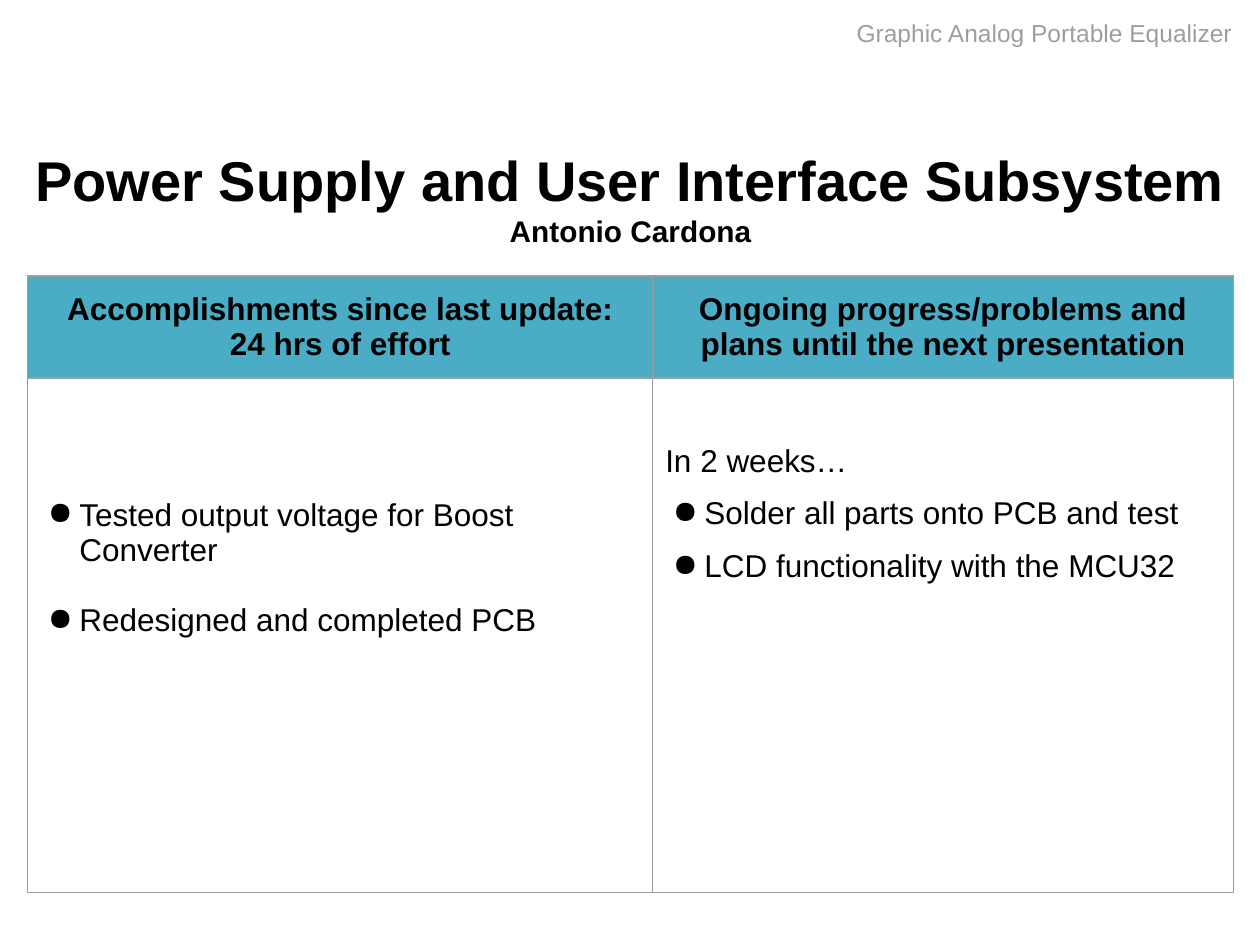
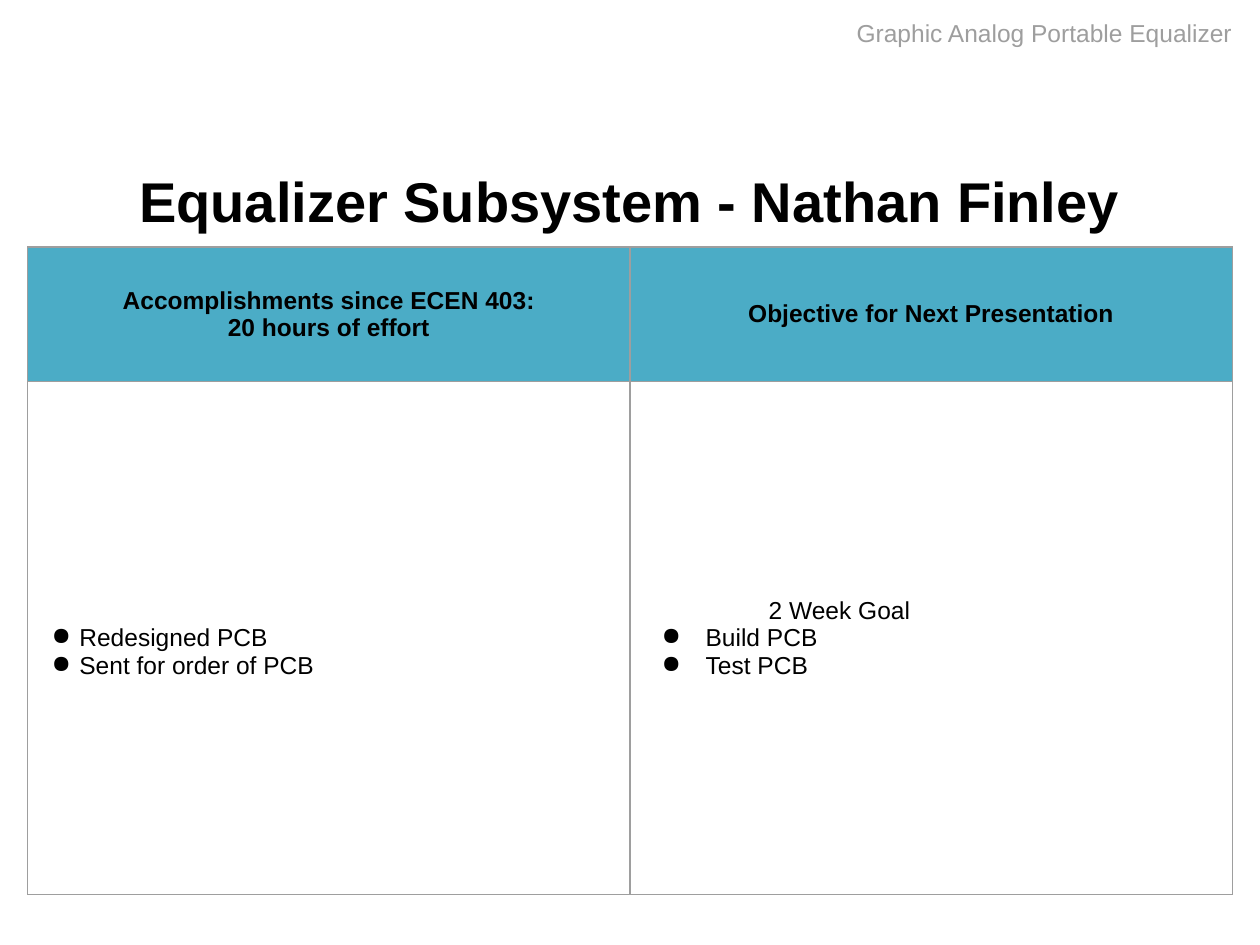
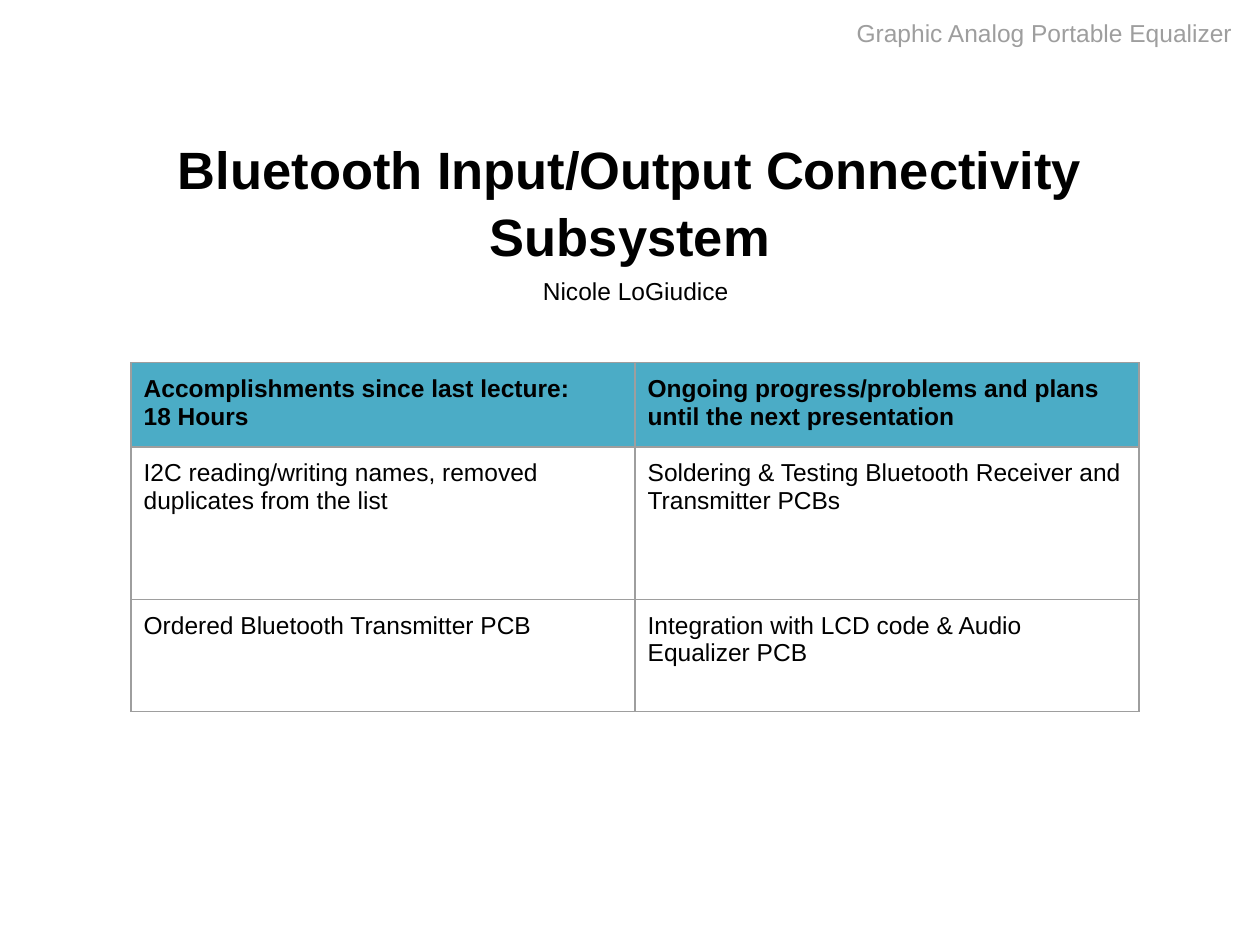
from lxml import etree
from pptx import Presentation
from pptx.dml.color import RGBColor
from pptx.enum import text as t
from pptx.oxml import ns
from pptx.util import Inches, Pt

HUES = {"ink": "000000", "grey": "9E9E9E", "teal": "4BACC6"}
FONT = "Arial"
MID, TOP = t.MSO_ANCHOR.MIDDLE, t.MSO_ANCHOR.TOP
MID_ALIGN, LEFT = t.PP_ALIGN.CENTER, t.PP_ALIGN.LEFT


def write(frame, lines, size, bold=False, hue="ink", align=LEFT):
    """Each line is a string or (words, extras): left, hang, gap, size."""
    frame.word_wrap = True
    for i, line in enumerate(lines):
        words, more = (line, {}) if isinstance(line, str) else line
        para = frame.paragraphs[0] if i == 0 else frame.add_paragraph()
        para.text = words
        para.alignment = align
        props = para._p.get_or_add_pPr()
        props.set("marL", str(Inches(more.get("left", 0))))
        props.set("indent", str(-Inches(more.get("hang", 0))))
        if "hang" in more:
            etree.SubElement(props, ns.qn("a:buChar"), char="●")
        if "gap" in more:
            para.space_before = Pt(more["gap"])
        font = para.runs[0].font
        font.name, font.bold = FONT, bold
        font.size = Pt(more.get("size", size))
        font.color.rgb = RGBColor.from_string(HUES[hue])


def add_box(slide, spot, lines, size, pad=0.1, anchor=TOP, **style):
    frame = slide.shapes.add_textbox(*map(Inches, spot)).text_frame
    frame.margin_left = frame.margin_right = Inches(0.1)
    frame.margin_top = frame.margin_bottom = Inches(pad)
    frame.vertical_anchor = anchor
    write(frame, lines, size, **style)
    return frame


# Bullet styles
dot = {"left": 0.31, "hang": 0.25}
near = {"left": 0.31, "hang": 0.22}
wide = {"left": 0.5, "hang": 0.35}

# Slide content; a cell is (lines, top margin)
pages = [
    {"title": ["Power Supply and User Interface Subsystem",
               ("Antonio Cardona", {"size": 17})],
     "spot": (0.18, 1.12, 9.65, 0.88), "size": 32,
     "grid": (0.22, 2.19), "cols": [4.96, 4.61], "rows": [0.81, 4.08],
     "text": 18, "head": (MID, MID_ALIGN), "body": TOP,
     "cells": [
         [(["Accomplishments since last update:", "24 hrs of effort"], 0.1),
          (["Ongoing progress/problems and plans until the next presentation"], 0.1)],
         [([("Tested output voltage for Boost Converter", dot),
            ("Redesigned and completed PCB", {**dot, "gap": 20})], 0.95),
          (["In 2 weeks…",
            ("Solder all parts onto PCB and test", {**dot, "gap": 10}),
            ("LCD functionality with the MCU32", {**dot, "gap": 10})], 0.52)]]},
    {"title": ["Equalizer Subsystem - Nathan Finley"],
     "spot": (0.5, 1.15, 9, 0.88), "size": 32,
     "grid": (0.22, 1.96), "cols": [4.78, 4.78], "rows": [1.07, 4.07],
     "text": 14, "head": (MID, MID_ALIGN), "body": MID,
     "cells": [
         [(["Accomplishments since ECEN 403:", "20 hours of effort"], 0.1),
          (["Objective for Next Presentation"], 0.1)],
         [([("Redesigned PCB", near), ("Sent for order of PCB", near)], 0.32),
          ([("2 Week Goal", {"left": 1}), ("Build PCB", wide),
            ("Test PCB", wide)], 0.1)]]},
    {"title": ["Bluetooth Input/Output Connectivity Subsystem"],
     "spot": (0.5, 1.15, 9, 0.88), "size": 30, "name": "Nicole LoGiudice",
     "grid": (1.04, 2.88), "cols": [4, 4], "rows": [0.64, 1.21, 0.89],
     "text": 14, "head": (TOP, LEFT), "body": TOP,
     "cells": [
         [(["Accomplishments since last lecture:", "18 Hours"], 0.1),
          (["Ongoing progress/problems and plans until the next presentation"], 0.1)],
         [(["I2C reading/writing names, removed duplicates from the list"], 0.1),
          (["Soldering & Testing Bluetooth Receiver and Transmitter PCBs"], 0.1)],
         [(["Ordered Bluetooth Transmitter PCB"], 0.1),
          (["Integration with LCD code & Audio Equalizer PCB"], 0.1)]]},
]

deck = Presentation()
deck.slide_width, deck.slide_height = Inches(10), Inches(7.5)

for page in pages:
    slide = deck.slides.add_slide(deck.slide_layouts[6])

    # Title, name and running head
    title = add_box(slide, page["spot"], page["title"], page["size"], pad=0.05,
                    anchor=MID, bold=True, align=MID_ALIGN)
    if "name" in page:
        title.paragraphs[0].line_spacing = 1.06
        add_box(slide, (4.21, 2.09, 2.41, 0.44), [page["name"]], 14)
    add_box(slide, (6.7, 0.04, 3.21, 0.44),
            ["Graphic Analog Portable Equalizer"], 14, hue="grey")

    # Table frame
    cols, rows = page["cols"], page["rows"]
    spot = (*page["grid"], sum(cols), sum(rows))
    table = slide.shapes.add_table(len(rows), len(cols), *map(Inches, spot)).table
    table.first_row = table.horz_banding = False
    for col, width in zip(table.columns, cols):
        col.width = Inches(width)
    for row, height in zip(table.rows, rows):
        row.height = Inches(height)

    # Cells
    for r, line in enumerate(page["cells"]):
        anchor, align = page["head"] if r == 0 else (page["body"], LEFT)
        for c, (words, top) in enumerate(line):
            cell = table.cell(r, c)
            cell.margin_left = cell.margin_right = cell.margin_bottom = Inches(0.1)
            cell.margin_top = Inches(top)
            cell.vertical_anchor = anchor
            write(cell.text_frame, words, page["text"], bold=r == 0, align=align)
            props = cell._tc.get_or_add_tcPr()
            for side in "LRTB":
                edge = etree.SubElement(props, ns.qn("a:ln" + side), w=str(Pt(0.75)))
                fill = etree.SubElement(edge, ns.qn("a:solidFill"))
                etree.SubElement(fill, ns.qn("a:srgbClr"), val=HUES["grey"])
            if r == 0:
                cell.fill.solid()
                cell.fill.fore_color.rgb = RGBColor.from_string(HUES["teal"])
            else:
                cell.fill.background()

deck.save("out.pptx")
